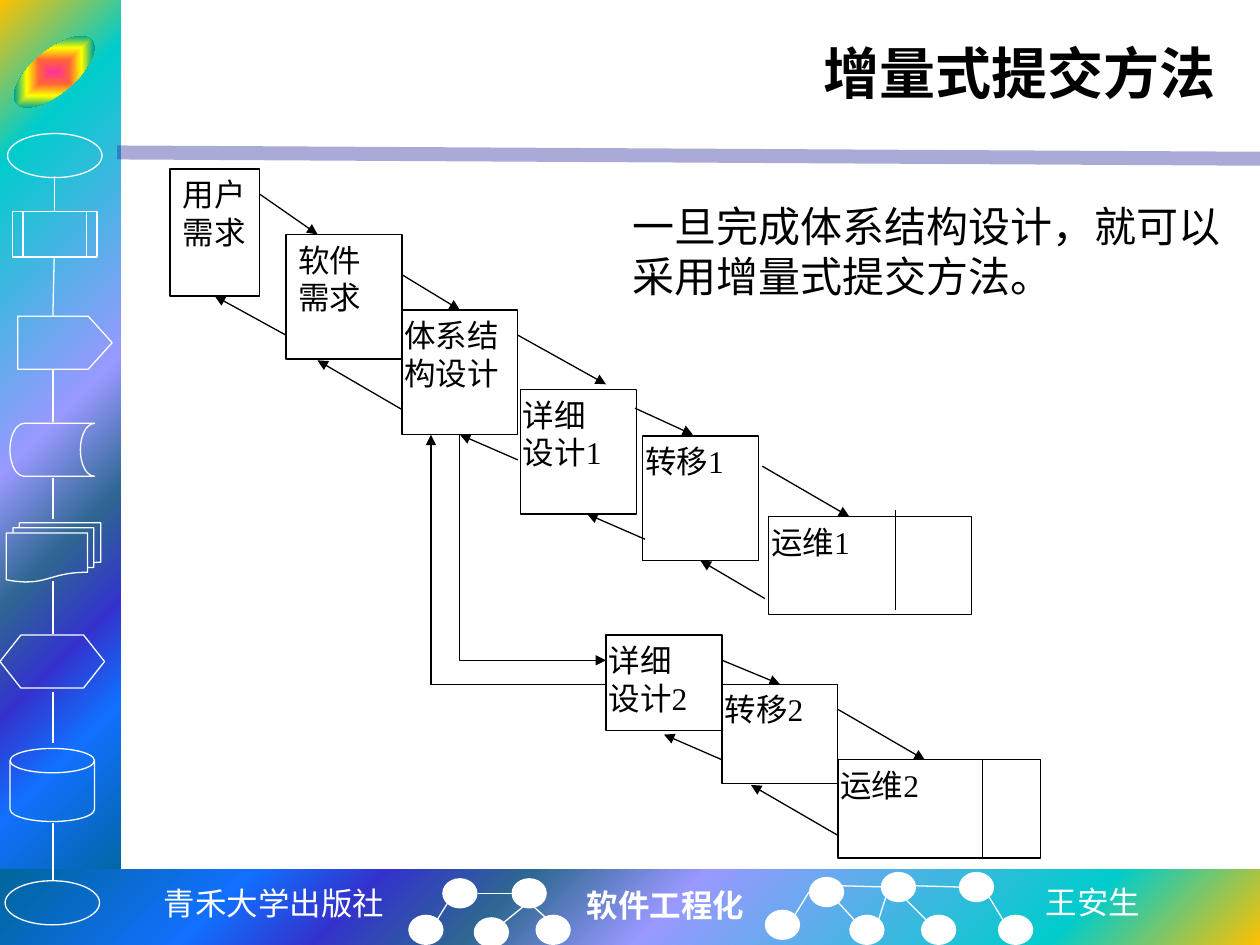
import pptx
import pptx.util
import pptx.dml.color
import pptx.enum.dml
import pptx.enum.shapes
import pptx.enum.text
import pptx.oxml.ns
from dataclasses import dataclass
from typing import Any
from lxml import etree

Inches, Pt = pptx.util.Inches, pptx.util.Pt
Kind = pptx.enum.shapes.MSO_SHAPE
Align = pptx.enum.text.PP_ALIGN
Anchor = pptx.enum.text.MSO_ANCHOR
qn = pptx.oxml.ns.qn

COLORS = {"white": "FFFFFF", "black": "000000", "rule": "262699"}
SERIF = "Times New Roman"
RAINBOW = [(0, "FFC000"), (16, "00CCCC"), (47, "9999FF"), (60, "2E6792"),
           (71, "3333CC"), (81, "1170FF"), (100, "006699")]
BADGE = [(0, "FF3399"), (25, "FF6633"), (50, "FFFF00"),
         (75, "01A78F"), (100, "3366FF")]


@dataclass
class Box:
    shapes: Any
    x: float
    y: float
    w: float
    h: float

    def at(self, x, y):
        return Inches(self.x + x), Inches(self.y + y)


def rgb(name):
    return pptx.dml.color.RGBColor.from_string(COLORS[name])


def stroke(item, color, width=0.75):
    item.line.color.rgb = rgb(color)
    item.line.width = Pt(width)


def arrow(item):
    ln = item.element.spPr.find(qn("a:ln"))
    etree.SubElement(ln, qn("a:tailEnd"), type="triangle")


def shape(box, kind, x, y, w, h, fill=None, line=None):
    item = box.shapes.add_shape(kind, *box.at(x, y), Inches(w), Inches(h))
    item.shadow.inherit = False
    if fill:
        item.fill.solid()
        item.fill.fore_color.rgb = rgb(fill)
    else:
        item.fill.background()
    if line:
        stroke(item, line)
    else:
        item.line.fill.background()
    return item


def blend(item, stops, kind, focus):
    """Fill with a gradient that spreads from the focus (l, t, r, b)."""
    item.fill.gradient()
    grad = item.element.spPr.find(qn("a:gradFill"))
    for child in list(grad):
        grad.remove(child)
    group = etree.SubElement(grad, qn("a:gsLst"))
    for pos, color in stops:
        stop = etree.SubElement(group, qn("a:gs"), pos=str(pos * 1000))
        etree.SubElement(stop, qn("a:srgbClr"), val=color)
    way = etree.SubElement(grad, qn("a:path"))
    way.set("path", kind)
    rect = etree.SubElement(way, qn("a:fillToRect"))
    for side, value in zip("ltrb", focus):
        rect.set(side, str(value * 1000))


def line(box, start, end, color, width=0.75):
    item = box.shapes.add_connector(
        pptx.enum.shapes.MSO_CONNECTOR.STRAIGHT, *box.at(*start), *box.at(*end))
    stroke(item, color, width)
    etree.SubElement(item.element.spPr, qn("a:effectLst"))
    return item


def write(frame, lines, size, color="black", font=SERIF, bold=False,
          align=Align.LEFT):
    frame.text = "\n".join(lines)
    for para in frame.paragraphs:
        para.alignment = align
        para.font.size = Pt(size)
        para.font.name = font
        para.font.bold = bold
        para.font.color.rgb = rgb(color)


def label(box, x, y, w, h, words, size, wrap=True, **style):
    item = box.shapes.add_textbox(*box.at(x, y), Inches(w), Inches(h))
    item.text_frame.word_wrap = wrap
    write(item.text_frame, [words], size, **style)
    return item


def sidebar(box):
    back = shape(box, Kind.RECTANGLE, 0, 0, box.w, box.h)
    blend(back, RAINBOW, "circle", (0, 0, 100, 100))
    # Tilted badge
    badge = shape(box, Kind.OVAL, 0.04, 0.4, 0.78, 0.34)
    badge.rotation = -40
    blend(badge, BADGE, "shape", (50, 50, 50, 50))


def symbols(box):
    # Column of flowchart outlines
    for kind, x, y, w, h in [
            (Kind.OVAL, 0.06, 1.06, 0.75, 0.35),
            (Kind.FLOWCHART_PREDEFINED_PROCESS, 0.1, 1.68, 0.67, 0.36),
            (Kind.PENTAGON, 0.14, 2.51, 0.75, 0.42),
            (Kind.FLOWCHART_STORED_DATA, 0.08, 3.36, 0.67, 0.42),
            (Kind.FLOWCHART_MULTIDOCUMENT, 0.05, 4.15, 0.75, 0.47),
            (Kind.FLOWCHART_PREPARATION, 0, 5.04, 0.83, 0.42),
            (Kind.FLOWCHART_MAGNETIC_DISK, 0.08, 5.94, 0.67, 0.58),
            (Kind.OVAL, 0.04, 6.99, 0.75, 0.35)]:
        item = shape(box, kind, x, y, w, h, line="white")
        if kind == Kind.PENTAGON:
            item.adjustments[0] = 0.45
    # Links between them
    for top, end in [(1.4, 1.68), (2.05, 2.51), (2.93, 3.35), (3.79, 4.12),
                     (4.61, 5.03), (5.49, 5.9), (6.53, 6.99)]:
        line(box, (0.43 if top < 2.5 else 0.42, top),
             (0.43 if top < 2 else 0.42, end), "white")


def footer(box):
    back = shape(box, Kind.RECTANGLE, 0, 0, box.w, box.h)
    blend(back, RAINBOW, "circle", (100, 100, 0, 0))
    label(box, 1.19, 0.07, 1.97, 0.4, "青禾大学出版社", 18, False,
          color="white", font="DejaVu Sans Mono", align=Align.CENTER)
    label(box, 4.56, 0.08, 1.46, 0.4, "软件工程化", 18, False,
          color="white", bold=True)
    label(box, 8.2, 0.06, 0.96, 0.4, "王安生", 18, False,
          color="white", font="Noto Sans CJK SC")
    # Two small networks
    for x, y in [(3.51, 0.07), (4.06, 0.07), (3.24, 0.36), (3.76, 0.38),
                 (4.25, 0.36), (6.42, 0.06), (6.99, 0.02), (7.61, 0.02),
                 (6.07, 0.32), (6.74, 0.36), (7.31, 0.36), (7.92, 0.36)]:
        shape(box, Kind.OVAL, x, y, 0.28, 0.24, fill="white")
    for start, end in [
            ((3.47, 0.4), (3.55, 0.27)), ((4, 0.42), (4.16, 0.29)),
            ((4.06, 0.19), (3.79, 0.19)), ((4.34, 0.39), (4.24, 0.3)),
            ((6.78, 0.4), (6.65, 0.26)), ((7.35, 0.4), (7.15, 0.2)),
            ((7.96, 0.4), (7.85, 0.22)), ((6.97, 0.41), (7.03, 0.22)),
            ((7.26, 0.13), (7.61, 0.14)), ((6.31, 0.36), (6.42, 0.18)),
            ((6.68, 0.13), (7.03, 0.14))]:
        line(box, start, end, "white")


def heading(box):
    rule = line(box, (0.93, 1.21), (10, 1.26), "rule", 8)
    tint = next(rule.element.spPr.iter(qn("a:srgbClr")))
    etree.SubElement(tint, qn("a:alpha"), val="39000")
    title = label(box, 1.25, 0.17, 8.5, 0.81, "增量式提交方法", 32,
                  bold=True, align=Align.RIGHT)
    title.text_frame.vertical_anchor = Anchor.MIDDLE


def flow(box):
    # Stages; the first two keep the wider margin
    steps = {}
    for key, x, y, w, h, *lines in [
            ("user", 0, 0, 0.71, 1.01, "用户", "需求"),
            ("soft", 0.92, 0.52, 0.92, 0.99, "软件", "需求"),
            ("arch", 1.84, 1.12, 0.92, 0.99, "体系结构设计"),
            ("plan1", 2.78, 1.75, 0.92, 0.99, "详细", "设计1"),
            ("move1", 3.75, 2.12, 0.92, 0.99, "转移1"),
            ("run1", 4.75, 2.76, 1.61, 0.78, "运维1"),
            ("plan2", 3.46, 3.7, 0.92, 0.76, "详细", "设计2"),
            ("move2", 4.38, 4.09, 0.92, 0.79, "转移2"),
            ("run2", 5.3, 4.69, 1.61, 0.78, "运维2")]:
        step = steps[key] = shape(box, Kind.RECTANGLE, x, y, w, h, line="black")
        frame = step.text_frame
        frame.word_wrap = True
        frame.vertical_anchor = Anchor.TOP
        if key not in ("user", "soft"):
            frame.margin_left, frame.margin_right = Inches(0.02), Inches(0.04)
        write(frame, lines, 18)
    # Dividers in the last stages
    for x, y in [(5.76, 2.71), (6.45, 4.69)]:
        line(box, (x, y), (x, y + 0.79), "black")
    # Feedback arrows (joined at 2), then forward arrows (joined at 0)
    for start, end, *join in [
            ((0.92, 1.32), (0.34, 1.01), "user", 2),
            ((1.84, 1.91), (1.17, 1.52)),
            ((2.76, 2.31), (2.3, 2.11), "arch", 2),
            ((3.77, 2.94), (3.31, 2.74)),
            ((4.72, 3.41), (4.2, 3.12), "move1", 2),
            ((4.38, 4.69), (3.92, 4.49)),
            ((5.3, 5.29), (4.61, 4.89)),
            ((0.71, 0.2), (1.17, 0.52)),
            ((1.84, 0.84), (2.3, 1.12), "arch", 0),
            ((2.76, 1.32), (3.46, 1.71)),
            ((3.69, 1.9), (4.15, 2.11)),
            ((4.7, 2.36), (5.39, 2.76)),
            ((4.38, 3.9), (4.84, 4.09), "move2", 0),
            ((5.3, 4.29), (5.99, 4.69))]:
        item = line(box, start, end, "black")
        arrow(item)
        if join:
            item.end_connect(steps[join[0]], join[1])
    # Bent arrows between the design and the second increment
    for first, *rest in [[(2.3, 2.11), (2.3, 3.9), (3.46, 3.9)],
                         [(3.46, 4.09), (2.07, 4.09), (2.07, 2.11)]]:
        pen = box.shapes.build_freeform(*box.at(*first))
        pen.add_line_segments([box.at(*spot) for spot in rest], close=False)
        bend = pen.convert_to_shape()
        bend.shadow.inherit = False
        bend.fill.background()
        stroke(bend, "black")
        arrow(bend)


def main():
    deck = pptx.Presentation()
    deck.slide_width, deck.slide_height = Inches(10), Inches(7.5)
    shapes = deck.slides.add_slide(deck.slide_layouts[6]).shapes
    page = Box(shapes, 0, 0, 10, 7.5)
    sidebar(Box(shapes, 0, 0, 0.96, 7.09))
    footer(Box(shapes, 0, 6.9, 10, 0.6))
    symbols(page)
    heading(page)
    label(page, 4.92, 1.54, 5, 0.91,
          "一旦完成体系结构设计，就可以采用增量式提交方法。", 24)
    flow(Box(shapes, 1.35, 1.34, 6.91, 5.48))
    deck.save("out.pptx")


if __name__ == "__main__":
    main()
